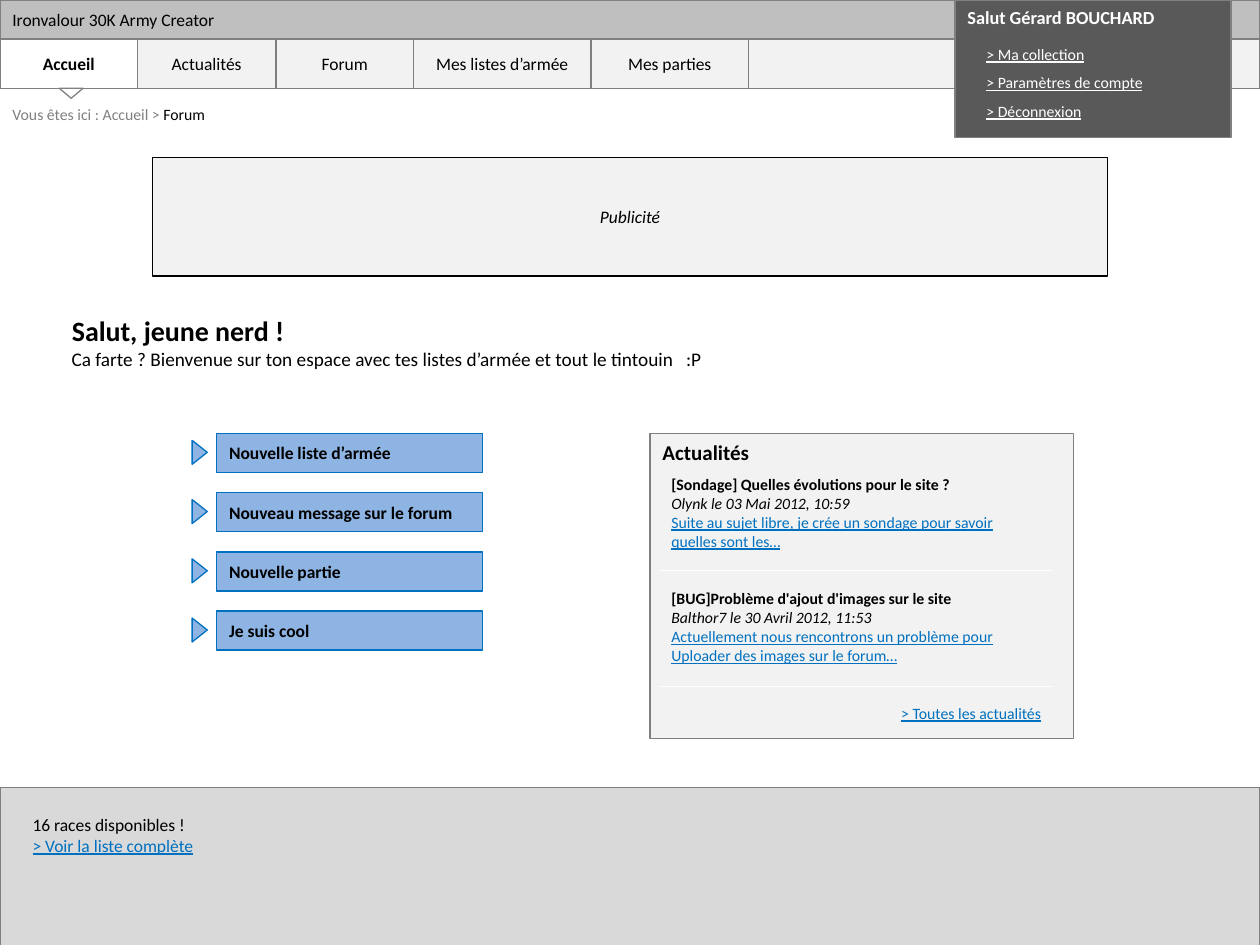
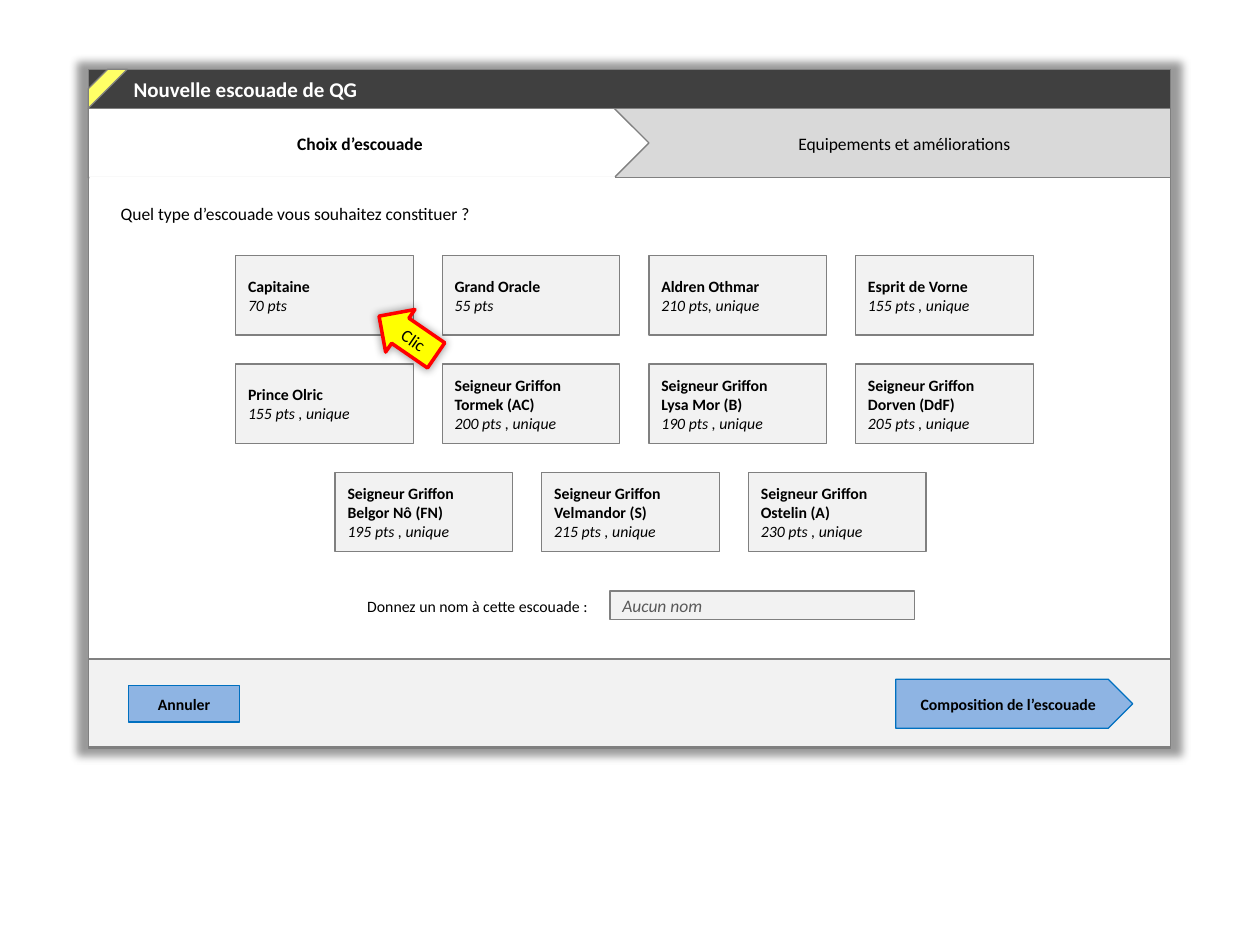
from collections import namedtuple
from itertools import accumulate

from lxml import etree
from pptx import Presentation
from pptx.dml.color import RGBColor
from pptx.enum.shapes import MSO_CONNECTOR, MSO_SHAPE
from pptx.enum.text import MSO_ANCHOR, MSO_AUTO_SIZE, PP_ALIGN
from pptx.oxml.ns import qn
from pptx.util import Inches, Pt

FONT = "Calibri"
BLACK, WHITE, GREY, DARK = "000000", "FFFFFF", "808080", "595959"
PALE, FOOTER_GREY, BAR_GREY, TITLE_GREY = "F2F2F2", "D9D9D9", "BFBFBF", "404040"
BUTTON, LINK, YELLOW, STRIPE, RED = "8EB4E3", "0070C0", "FFFF00", "FFFF66", "FF0000"
LEFT, CENTER, RIGHT = PP_ALIGN.LEFT, PP_ALIGN.CENTER, PP_ALIGN.RIGHT

# marks holds any of b (bold), i (italic), u (underlined)
Run = namedtuple("Run", "text marks color", defaults=("", BLACK))

# Home page
SITE_NAME = "Ironvalour 30K Army Creator"
TABS = [("Accueil", 1.09), ("Actualités", 1.1), ("Forum", 1.09),
        ("Mes listes d’armée", 1.41), ("Mes parties", 1.25), ("", 4.06)]
TAB_TOP, TAB_HEIGHT = 0.31, 0.39
USER_GREETING = "Salut Gérard BOUCHARD"
USER_LINKS = ["> Ma collection", "> Paramètres de compte", "> Déconnexion"]
BREADCRUMB = ("Vous êtes ici : Accueil > ", "Forum")
WELCOME = "Salut, jeune nerd !"
WELCOME_LINE = ("Ca farte ? Bienvenue sur ton espace avec tes listes d’armée "
                "et tout le tintouin   :P")
ACTIONS = ["Nouvelle liste d’armée", "Nouveau message sur le forum",
           "Nouvelle partie", "Je suis cool"]
ACTION_LEFT, ACTION_TOP, ACTION_STEP = 1.72, 3.44, 0.47
NEWS = [
    ("[Sondage] Quelles évolutions pour le site ?", "Olynk le 03 Mai 2012, 10:59",
     "Suite au sujet libre, je crée un sondage pour savoir quelles sont les…"),
    ("[BUG]Problème d'ajout d'images sur le site", "Balthor7 le 30 Avril 2012, 11:53",
     "Actuellement nous rencontrons un problème pour Uploader des images sur le forum…"),
]
ALL_NEWS = "> Toutes les actualités"
NEWS_GAP = 22
RACES, RACES_LINK = "16 races disponibles !", "> Voir la liste complète"

# Squad dialog
DIALOG_LEFT, DIALOG_TOP, DIALOG_WIDTH, DIALOG_HEIGHT = 0.7, 0.55, 8.59, 5.39
DIALOG_TITLE = "Nouvelle escouade de QG"
STEPS = ("Choix d’escouade", "Equipements et améliorations")
STEP_WIDTH, STEP_HEIGHT = 4.45, 0.55
QUESTION = "Quel type d’escouade vous souhaitez constituer ?"
LORD = "Seigneur Griffon"
SQUAD_ROWS = [
    (1.87, [("Capitaine", "70 pts"), ("Grand Oracle", "55 pts"),
            ("Aldren Othmar", "210 pts, unique"),
            ("Esprit de Vorne", "155 pts , unique")]),
    (1.87, [("Prince Olric", "155 pts , unique"),
            (LORD, "Tormek (AC)", "200 pts , unique"),
            (LORD, "Lysa Mor (B)", "190 pts , unique"),
            (LORD, "Dorven (DdF)", "205 pts , unique")]),
    (2.66, [(LORD, "Belgor Nô (FN)", "195 pts , unique"),
            (LORD, "Velmandor (S)", "215 pts , unique"),
            (LORD, "Ostelin (A)", "230 pts , unique")]),
]
CARD_TOP, CARD_WIDTH, CARD_HEIGHT = 2.03, 1.41, 0.63
CARD_STEP_X, CARD_STEP_Y = 1.64, 0.86
NAME_LABEL, NAME_HINT = "Donnez un nom à cette escouade :", "Aucun nom"
CANCEL, CONFIRM, CLICK = "Annuler", "Composition de l’escouade", "Clic"


def rgb(color):
    return RGBColor.from_string(color)


def write(shape, paragraphs, size, align=LEFT, anchor=MSO_ANCHOR.MIDDLE, wrap=True):
    """Fill a shape with paragraphs, each one a list of runs."""
    frame = shape.text_frame
    frame.word_wrap = wrap
    frame.auto_size = MSO_AUTO_SIZE.NONE
    frame.vertical_anchor = anchor
    for index, runs in enumerate(paragraphs):
        paragraph = frame.add_paragraph() if index else frame.paragraphs[0]
        paragraph.alignment = align
        for text, marks, color in runs:
            run = paragraph.add_run()
            run.text = text
            font = run.font
            font.name, font.size = FONT, Pt(size)
            font.bold, font.italic = "b" in marks, "i" in marks
            font.underline = "u" in marks
            font.color.rgb = rgb(color)
    return frame


def paint(shape, fill, line, line_width=0.75):
    shape.fill.solid()
    shape.fill.fore_color.rgb = rgb(fill)
    if line:
        shape.line.color.rgb = rgb(line)
        shape.line.width = Pt(line_width)
    else:
        shape.line.fill.background()


def add_box(slide, left, top, width, height, fill=PALE, line=GREY, paragraphs=(),
            size=10, align=LEFT, kind=MSO_SHAPE.RECTANGLE, rotation=0, line_width=0.75):
    shape = slide.shapes.add_shape(
        kind, Inches(left), Inches(top), Inches(width), Inches(height))
    shape.shadow.inherit = False
    shape.rotation = rotation
    paint(shape, fill, line, line_width)
    write(shape, paragraphs, size, align)
    return shape


def add_text(slide, left, top, width, height, paragraphs, size, align=LEFT, wrap=True):
    box = slide.shapes.add_textbox(
        Inches(left), Inches(top), Inches(width), Inches(height))
    return write(box, paragraphs, size, align, MSO_ANCHOR.TOP, wrap)


def set_title(slide, left, top, width, height, run, size, anchor):
    """Place the title placeholder in front of the shapes drawn so far."""
    title = slide.shapes.title
    title.left, title.top = Inches(left), Inches(top)
    title.width, title.height = Inches(width), Inches(height)
    write(title, [[run]], size, anchor=anchor)
    title.element.getparent().append(title.element)
    return title


def add_separator(slide, left, right, y):
    line = slide.shapes.add_connector(
        MSO_CONNECTOR.STRAIGHT, Inches(left), Inches(y), Inches(right), Inches(y))
    line.line.color.rgb = rgb(WHITE)
    line.line.width = Pt(0.75)
    etree.SubElement(line.element.spPr, qn("a:effectLst"))


def add_glow_shadow(shape):
    """Give a soft shadow, slightly larger than the shape, on all sides."""
    effects = shape.element.spPr.find(qn("a:effectLst"))
    shadow = etree.SubElement(effects, qn("a:outerShdw"), blurRad=str(Pt(5)), dist="0",
                              sx="102000", sy="102000", algn="ctr", rotWithShape="0")
    color = etree.SubElement(shadow, qn("a:srgbClr"), val=BLACK)
    etree.SubElement(color, qn("a:alpha"), val="40000")


def add_navigation(slide):
    add_box(slide, 0, 0, 10, TAB_TOP, BAR_GREY, paragraphs=[[Run(SITE_NAME)]])
    ends = accumulate(width for _, width in TABS)
    for index, ((label, width), end) in enumerate(zip(TABS, ends)):
        active = index == 0
        runs = [[Run(label, "b" if active else "")]] if label else []
        add_box(slide, end - width, TAB_TOP, width, TAB_HEIGHT,
                WHITE if active else PALE, paragraphs=runs, align=CENTER)
    add_box(slide, 0.47, TAB_TOP + TAB_HEIGHT, 0.19, 0.08, WHITE,
            kind=MSO_SHAPE.ISOSCELES_TRIANGLE, rotation=180)
    parents, current = BREADCRUMB
    add_text(slide, 0, 0.78, 3.05, 0.25, [[Run(parents, "", GREY), Run(current)]], 9)


def add_user_menu(slide):
    add_box(slide, 7.58, 0, 2.19, 1.09, DARK)
    links = [[Run(link, "u", WHITE)] for link in USER_LINKS]
    frame = add_text(slide, 7.73, 0.23, 1.49, 0.78, links, 9, wrap=False)
    for paragraph in frame.paragraphs:
        paragraph.line_spacing = 1.5
    add_text(slide, 7.58, 0, 2.27, 0.28, [[Run(USER_GREETING, "b", WHITE)]], 10.5)


def add_actions(slide):
    for index, label in enumerate(ACTIONS):
        top = ACTION_TOP + index * ACTION_STEP
        add_box(slide, ACTION_LEFT, top, 2.11, 0.31, BUTTON, LINK, [[Run(label, "b")]])
        add_box(slide, ACTION_LEFT - 0.23, top + 0.09, 0.19, 0.12, BUTTON, LINK,
                kind=MSO_SHAPE.ISOSCELES_TRIANGLE, rotation=90)


def add_news(slide):
    add_box(slide, 5.16, 3.44, 3.36, 2.42)
    add_text(slide, 5.16, 3.44, 2.73, 0.3, [[Run("Actualités", "b")]], 12)
    paragraphs = []
    for headline, author, summary in NEWS:
        paragraphs += [[Run(headline, "b")], [Run(author, "i")], [Run(summary, "u", LINK)]]
    paragraphs.append([Run(ALL_NEWS, "u", LINK)])
    frame = add_text(slide, 5.23, 3.72, 3.13, 2.07, paragraphs, 9)
    for paragraph in frame.paragraphs[3::3]:
        paragraph.space_before = Pt(NEWS_GAP)
    frame.paragraphs[-1].alignment = RIGHT
    for y in (4.53, 5.45):
        add_separator(slide, 5.23, 8.36, y)


def build_home(slide):
    add_navigation(slide)
    add_user_menu(slide)
    add_box(slide, 1.21, 1.25, 7.58, 0.94, line=BLACK,
            paragraphs=[[Run("Publicité", "i")]], align=CENTER)
    set_title(slide, 0.47, 2.44, 6.64, 0.36, Run(WELCOME, "b"), 16, MSO_ANCHOR.TOP)
    add_text(slide, 0.47, 2.71, 6.64, 0.3, [[Run(WELCOME_LINE)]], 11)
    add_actions(slide)
    add_news(slide)
    add_box(slide, 0, 6.25, 10, 1.27, FOOTER_GREY)
    add_text(slide, 0.16, 6.41, 6.72, 0.44,
             [[Run(RACES)], [Run(RACES_LINK, "u", LINK)]], 10)


def add_steps(slide):
    current, following = STEPS
    top = DIALOG_TOP + 0.31
    right = DIALOG_LEFT + DIALOG_WIDTH
    next_step = add_box(slide, right - STEP_WIDTH, top, STEP_WIDTH, STEP_HEIGHT,
                        FOOTER_GREY, paragraphs=[[Run(following)]], align=CENTER)
    next_step.text_frame.margin_left = Inches(0.32)
    add_box(slide, DIALOG_LEFT, top, STEP_WIDTH, STEP_HEIGHT, WHITE,
            paragraphs=[[Run(current, "b")]], align=CENTER, kind=MSO_SHAPE.PENTAGON)
    add_box(slide, DIALOG_LEFT + 0.01, 1.4, 4.17, 0.09, WHITE, None)


def add_squads(slide):
    for row, (left, squads) in enumerate(SQUAD_ROWS):
        for column, (*names, points) in enumerate(squads):
            add_box(slide, left + column * CARD_STEP_X, CARD_TOP + row * CARD_STEP_Y,
                    CARD_WIDTH, CARD_HEIGHT, size=9,
                    paragraphs=[[Run(name, "b")] for name in names] + [[Run(points, "i")]])


def build_squad_dialog(slide):
    dialog = add_box(slide, DIALOG_LEFT, DIALOG_TOP, DIALOG_WIDTH, DIALOG_HEIGHT, WHITE)
    add_glow_shadow(dialog)
    add_box(slide, DIALOG_LEFT, 5.23, DIALOG_WIDTH, 0.7)
    add_box(slide, 7.11, 5.39, 1.88, 0.39, BUTTON, LINK, [[Run(CONFIRM, "b")]], 9,
            CENTER, MSO_SHAPE.PENTAGON)
    add_box(slide, 1.02, 5.44, 0.88, 0.29, BUTTON, LINK, [[Run(CANCEL, "b")]], 9, CENTER)
    add_text(slide, 2.81, 4.69, 1.95, 0.25, [[Run(NAME_LABEL)]], 9, RIGHT)
    add_box(slide, 4.84, 4.69, 2.42, 0.23, paragraphs=[[Run(NAME_HINT, "i", DARK)]])
    add_steps(slide)
    add_text(slide, 0.86, 1.56, 4.3, 0.27, [[Run(QUESTION)]], 10)
    title = set_title(slide, DIALOG_LEFT, DIALOG_TOP, DIALOG_WIDTH, 0.31,
                      Run(DIALOG_TITLE, "b", WHITE), 12, MSO_ANCHOR.MIDDLE)
    paint(title, TITLE_GREY, GREY)
    title.text_frame.margin_left = Inches(0.36)
    add_box(slide, DIALOG_LEFT, DIALOG_TOP, 0.31, 0.31, STRIPE,
            kind=MSO_SHAPE.DIAGONAL_STRIPE)
    add_squads(slide)
    arrow = add_box(slide, 2.96, 2.46, 0.55, 0.41, YELLOW, RED, [[Run(CLICK)]], 10,
                    CENTER, MSO_SHAPE.LEFT_ARROW, 34.5, 2)
    arrow.adjustments[0], arrow.adjustments[1] = 0.59, 0.5
    frame = arrow.text_frame
    frame.margin_left = frame.margin_right = frame.margin_top = frame.margin_bottom = 0
    add_glow_shadow(arrow)


def main():
    presentation = Presentation()
    presentation.slide_width, presentation.slide_height = Inches(10), Inches(7.5)
    title_only = presentation.slide_layouts[5]
    for build in (build_home, build_squad_dialog):
        build(presentation.slides.add_slide(title_only))
    presentation.save("out.pptx")


if __name__ == "__main__":
    main()
